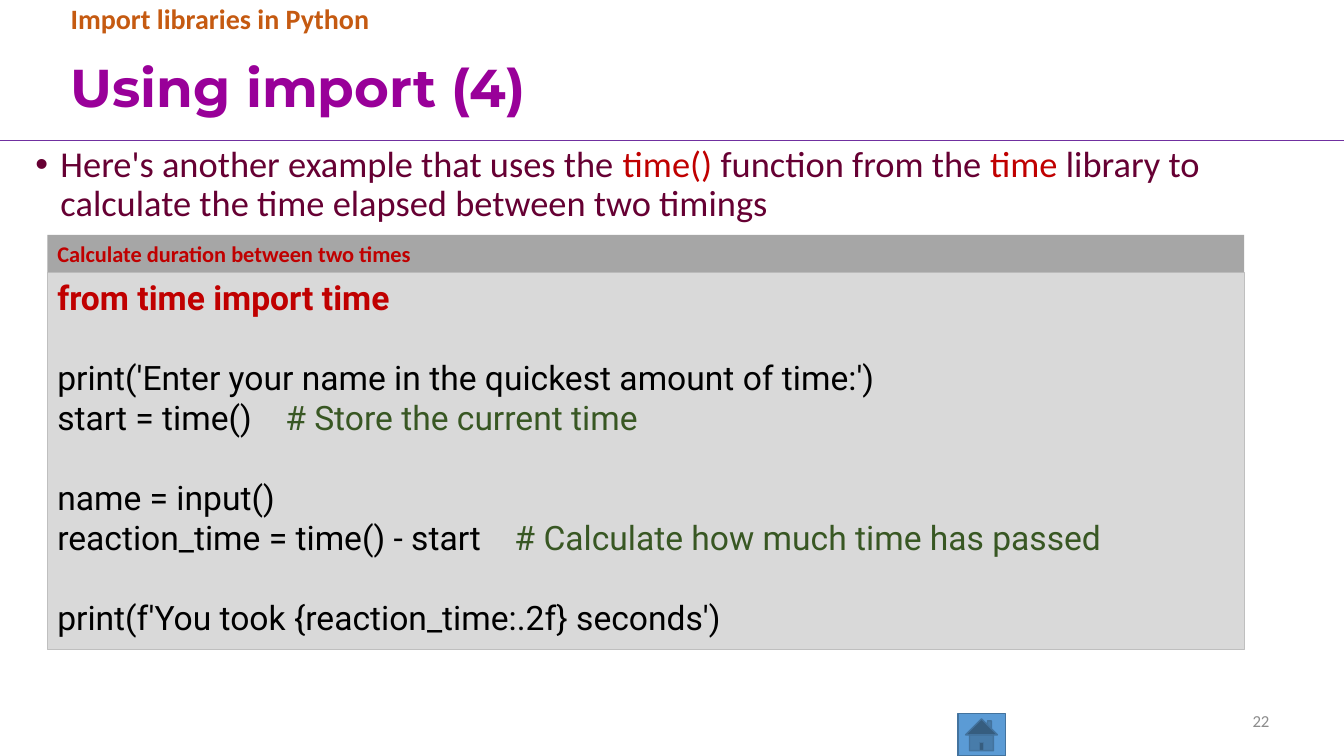
from lxml.etree import SubElement
from pptx import Presentation
from pptx.dml.color import RGBColor
from pptx.enum.shapes import MSO_CONNECTOR, MSO_SHAPE
from pptx.enum.text import MSO_ANCHOR, MSO_AUTO_SIZE, PP_ALIGN
from pptx.oxml.ns import qn
from pptx.util import Inches, Pt

PURPLE = RGBColor(0x99, 0x00, 0x99)
VIOLET = RGBColor(0x70, 0x30, 0xA0)
ORANGE = RGBColor(0xC5, 0x5A, 0x11)
PLUM = RGBColor(0x66, 0x00, 0x33)
RED = RGBColor(0xC0, 0x00, 0x00)
GREEN = RGBColor(0x38, 0x57, 0x23)
BLACK = RGBColor(0x00, 0x00, 0x00)
GREY = RGBColor(0x8C, 0x8C, 0x8C)
CODE_FILL = RGBColor(0xD9, 0xD9, 0xD9)
CODE_EDGE = RGBColor(0xBF, 0xBF, 0xBF)
CAPTION_FILL = RGBColor(0xA6, 0xA6, 0xA6)
BLUE = RGBColor(0x5B, 0x9B, 0xD5)
BLUE_EDGE = RGBColor(0x43, 0x73, 0x9E)

# Content: each line is a list of (text, format changes)
TITLE = "Using import (4)"
TOPIC = "Import libraries in Python"
INTRO = [
    ("Here's another example that uses the ", {}),
    ("time()", {"color": RED}),
    (" function from the ", {}),
    ("time", {"color": RED}),
    (" library to calculate the time elapsed between two timings", {}),
]
CAPTION = "Calculate duration between two times"
COMMENT = {"color": GREEN}
CODE_BLOCKS = [
    [[("from time import time", {"color": RED, "bold": True})]],
    [
        [("print('Enter your name in the quickest amount of time:')", {})],
        [("start = time()    ", {}), ("# Store the current time", COMMENT)],
    ],
    [
        [("name = input()", {})],
        [("reaction_time = time() - start    ", {}),
         ("# Calculate how much time has passed", COMMENT)],
    ],
    [[("print(f'You took {reaction_time:.2f} seconds')", {})]],
]
PAGE_NUMBER = "22"

# Text formats
TITLE_FORMAT = {"name": "Montserrat", "size": Pt(38), "bold": True, "color": PURPLE}
TOPIC_FORMAT = {"name": "Calibri", "size": Pt(20), "bold": True, "color": ORANGE}
INTRO_FORMAT = {"name": "Calibri", "size": Pt(26), "bold": False, "color": PLUM}
CAPTION_FORMAT = {"name": "Calibri", "size": Pt(16), "bold": True, "color": RED}
CODE_FORMAT = {"name": "Roboto", "size": Pt(24), "bold": False, "color": BLACK}
PAGE_FORMAT = {"name": "Calibri", "size": Pt(12), "bold": False, "color": GREY}

# Layout in inches
SLIDE_WIDTH, SLIDE_HEIGHT = 13.33, 7.5
RULE_TOP = 1.39
CODE_LEFT, CODE_TOP, CODE_WIDTH, CODE_HEIGHT = 0.47, 2.7, 11.87, 3.74
CAPTION_HEIGHT = 0.37
CODE_GAP = Pt(28.1)


def place(shape, left, top, width, height):
    shape.left, shape.top = Inches(left), Inches(top)
    shape.width, shape.height = Inches(width), Inches(height)


def setup_frame(shape, anchor):
    frame = shape.text_frame
    frame.word_wrap = True
    frame.auto_size = MSO_AUTO_SIZE.NONE
    frame.vertical_anchor = anchor
    return frame


def write_line(paragraph, runs, base, align=PP_ALIGN.LEFT, spacing=1.0, before=0):
    paragraph.alignment = align
    paragraph.line_spacing = spacing
    paragraph.space_before = before
    paragraph.space_after = 0
    for text, changes in runs:
        run = paragraph.add_run()
        run.text = text
        for key, value in {**base, **changes}.items():
            if key == "color":
                run.font.color.rgb = value
            else:
                setattr(run.font, key, value)


def set_bullet(paragraph, character=None, indent=0):
    properties = paragraph._p.get_or_add_pPr()
    properties.set("marL", str(Inches(indent)))
    properties.set("indent", str(-Inches(indent)))
    if character:
        SubElement(properties, qn("a:buFont")).set("typeface", "Arial")
        SubElement(properties, qn("a:buChar")).set("char", character)
    else:
        SubElement(properties, qn("a:buNone"))


def add_box(slide, preset, area, fill, edge=None, edge_width=1):
    shape = slide.shapes.add_shape(preset, *(Inches(length) for length in area))
    shape.shadow.inherit = False
    shape.fill.solid()
    shape.fill.fore_color.rgb = fill
    if edge is None:
        shape.line.fill.background()
    else:
        shape.line.color.rgb = edge
        shape.line.width = Pt(edge_width)
    return shape


def main():
    presentation = Presentation()
    presentation.slide_width = Inches(SLIDE_WIDTH)
    presentation.slide_height = Inches(SLIDE_HEIGHT)
    slide = presentation.slides.add_slide(presentation.slide_layouts[3])
    title, topic, intro = slide.placeholders

    # Rule under the title
    rule = slide.shapes.add_connector(
        MSO_CONNECTOR.STRAIGHT, 0, Inches(RULE_TOP), Inches(SLIDE_WIDTH), Inches(RULE_TOP))
    rule.line.color.rgb = VIOLET
    rule.line.width = Pt(0.5)
    SubElement(rule._element.spPr, qn("a:effectLst"))

    # Home button
    add_box(slide, MSO_SHAPE.ACTION_BUTTON_HOME, (9.5, 7.08, 0.47, 0.42), BLUE, BLUE_EDGE)

    # Title, topic and introduction
    place(title, 0.6, 0.41, 12.09, 0.97)
    frame = setup_frame(title, MSO_ANCHOR.MIDDLE)
    write_line(frame.paragraphs[0], [(TITLE, {})], TITLE_FORMAT, spacing=0.9)

    place(topic, 0.6, 0, 10.34, 0.41)
    paragraph = setup_frame(topic, MSO_ANCHOR.TOP).paragraphs[0]
    set_bullet(paragraph)
    write_line(paragraph, [(TOPIC, {})], TOPIC_FORMAT, spacing=0.9)

    place(intro, 0.25, 1.4, 12.79, 0.91)
    paragraph = setup_frame(intro, MSO_ANCHOR.TOP).paragraphs[0]
    set_bullet(paragraph, "•", 0.25)
    write_line(paragraph, INTRO, INTRO_FORMAT, spacing=0.9)

    # Code panel: a gap of one line opens every block after the first
    code = add_box(slide, MSO_SHAPE.RECTANGLE,
                   (CODE_LEFT, CODE_TOP, CODE_WIDTH, CODE_HEIGHT), CODE_FILL, CODE_EDGE, 0.75)
    frame = setup_frame(code, MSO_ANCHOR.TOP)
    for block_index, block in enumerate(CODE_BLOCKS):
        for line_index, line in enumerate(block):
            first = block_index == line_index == 0
            paragraph = frame.paragraphs[0] if first else frame.add_paragraph()
            before = CODE_GAP if block_index and not line_index else 0
            write_line(paragraph, line, CODE_FORMAT, before=before)

    # Caption bar on top of the code panel
    caption = add_box(slide, MSO_SHAPE.RECTANGLE,
                      (CODE_LEFT, CODE_TOP - CAPTION_HEIGHT, CODE_WIDTH, CAPTION_HEIGHT),
                      CAPTION_FILL)
    frame = setup_frame(caption, MSO_ANCHOR.TOP)
    write_line(frame.paragraphs[0], [(CAPTION, {})], CAPTION_FORMAT)

    # Page number
    page = slide.shapes.add_textbox(Inches(9.42), Inches(6.95), Inches(3.27), Inches(0.4))
    frame = setup_frame(page, MSO_ANCHOR.MIDDLE)
    write_line(frame.paragraphs[0], [(PAGE_NUMBER, {})], PAGE_FORMAT, PP_ALIGN.RIGHT)

    presentation.save("out.pptx")


if __name__ == "__main__":
    main()
